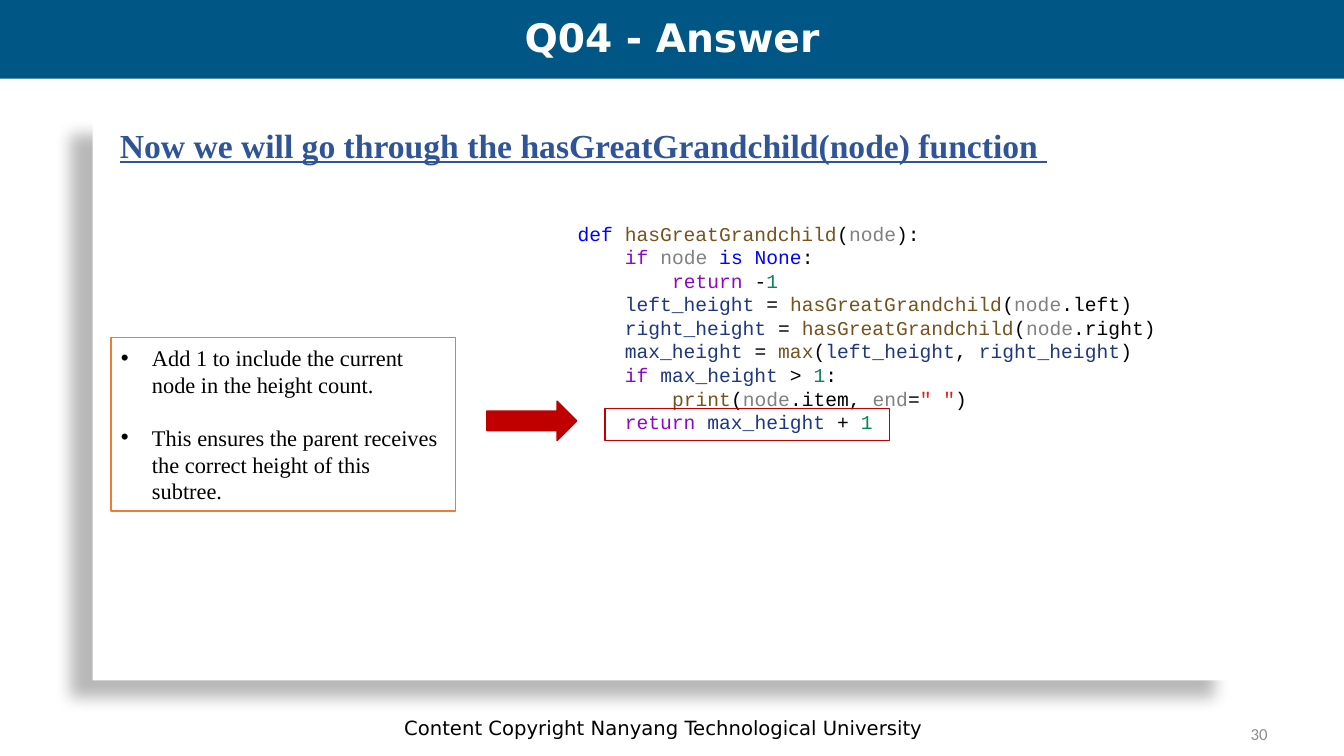
"""Build the Q04 answer slide: an annotated walk through hasGreatGrandchild."""
from lxml import etree
from pptx import Presentation
from pptx.dml.color import RGBColor
from pptx.enum.shapes import MSO_SHAPE
from pptx.enum.text import MSO_ANCHOR, MSO_AUTO_SIZE, PP_ALIGN
from pptx.oxml import parse_xml
from pptx.oxml.ns import nsdecls, qn
from pptx.util import Inches, Pt

RECTANGLE, RIGHT_ARROW = MSO_SHAPE.RECTANGLE, MSO_SHAPE.RIGHT_ARROW
TOP, MIDDLE = MSO_ANCHOR.TOP, MSO_ANCHOR.MIDDLE
LEFT, CENTER, RIGHT = PP_ALIGN.LEFT, PP_ALIGN.CENTER, PP_ALIGN.RIGHT
NO_AUTOFIT = MSO_AUTO_SIZE.NONE

THEME = {
    "colors": {
        "panel": "FFFFFF", "banner": "005684", "accent": "C00000", "note": "ED7D31",
        "title": "FFFFFF", "heading": "2F5597", "text": "000000", "number": "8C8C8C",
        "definition": "0000FF", "function": "74531F", "argument": "808080",
        "control": "8F08C4", "variable": "1F377F", "literal": "098658", "string": "E21F1F",
    },
    "fonts": {
        "title": {"name": "DejaVu Sans", "size": Pt(28), "bold": True},
        "heading": {"name": "Times New Roman", "size": Pt(24), "bold": True, "underline": True},
        "note": {"name": "Times New Roman", "size": Pt(16)},
        "code": {"name": "Courier New", "size": Pt(14)},
        "footer": {"name": "DejaVu Sans", "size": Pt(14)},
        "number": {"name": "Calibri", "size": Pt(12)},
    },
}

TOKEN_COLORS = {
    token: color
    for color, tokens in {
        "definition": ["def", "is None"],
        "function": ["hasGreatGrandchild", "max", "print"],
        "argument": ["node", "end"],
        "control": ["if", "return"],
        "variable": ["left_height", "right_height", "max_height"],
        "literal": ["1"],
        "string": ['" "'],
    }.items()
    for token in tokens
}

CODE_LINES = [
    "def |hasGreatGrandchild|(|node|):",
    "    |if |node |is None|:",
    "        |return| -|1",
    "    |left_height| = |hasGreatGrandchild|(|node|.left)",
    "    |right_height| = |hasGreatGrandchild|(|node|.right)",
    "    |max_height| = |max|(|left_height|, |right_height|)",
    "    |if |max_height| > |1|:",
    "        |print|(|node|.item, |end|=|\" \"|)",
    "    |return |max_height| + |1",
]
NOTES = [
    "Add 1 to include the current node in the height count.",
    "This ensures the parent receives the correct height of this subtree.",
]

deck = Presentation()
deck.slide_width, deck.slide_height = Inches(13.33), Inches(7.5)
page = deck.slides.add_slide(deck.slide_layouts[5])


def place(box, area):
    """Set a box from its left, top, width and height as percentages of the slide."""
    sides = {"left": deck.slide_width, "top": deck.slide_height,
             "width": deck.slide_width, "height": deck.slide_height}
    for (side, extent), share in zip(sides.items(), area):
        setattr(box, side, round(extent * share / 100))
    return box


def write(box, style, lines, align=LEFT, anchor=MIDDLE):
    """Fill a box with paragraphs given as lists of (text, color name) pairs."""
    frame = box.text_frame
    layout = {"word_wrap": True, "auto_size": NO_AUTOFIT, "vertical_anchor": anchor}
    for name, value in layout.items():
        setattr(frame, name, value)
    for index, line in enumerate(lines):
        para = frame.add_paragraph() if index else frame.paragraphs[0]
        para.alignment = align
        for text, color in line:
            span = para.add_run()
            span.text = text
            for name, value in THEME["fonts"][style].items():
                setattr(span.font, name, value)
            span.font.color.rgb = RGBColor.from_string(THEME["colors"][color])
    return frame


SHAPES = {
    "panel": (RECTANGLE, (6.9, 15.6, 85, 74.4), "panel", None),
    "banner": (RECTANGLE, (0, 0, 100, 10.4), "banner", None),
    "note": (RECTANGLE, (8.25, 44.67, 25.66, 22.93), None, "note"),
    "arrow": (RIGHT_ARROW, (36.23, 53.07, 6.68, 5.2), "accent", "accent"),
    "highlight": (RECTANGLE, (45.01, 54, 21.16, 4.27), None, "accent"),
}
boxes = {}
for name, (outline, area, fill, line) in SHAPES.items():
    box = boxes[name] = place(page.shapes.add_shape(outline, 0, 0, 0, 0), area)
    box.shadow.inherit = False
    if fill:
        box.fill.solid()
        box.fill.fore_color.rgb = RGBColor.from_string(THEME["colors"][fill])
    else:
        box.fill.background()
    if line:
        box.line.color.rgb = RGBColor.from_string(THEME["colors"][line])
        box.line.width = Pt(1)
    else:
        box.line.fill.background()

effects = boxes["panel"].element.spPr.find(qn("a:effectLst"))
effects.append(parse_xml(
    f'<a:outerShdw {nsdecls("a")} blurRad="{Pt(11.8)}" dist="{Pt(19.7)}" '
    f'dir="{141 * 60000}" algn="ctr" rotWithShape="0">'
    '<a:srgbClr val="000000"><a:alpha val="28000"/></a:srgbClr></a:outerShdw>'
))

title = place(page.shapes.title, (0, 0.53, 100, 9.47))
boxes["banner"].element.addnext(title.element)
title_frame = write(title, "title", [[("Q04 - Answer", "title")]], CENTER)
title_frame.paragraphs[0].line_spacing = 0.9

code = [[(token, TOKEN_COLORS.get(token.strip(" "), TOKEN_COLORS.get(token, "text")))
         for token in line.split("|")] for line in CODE_LINES]
heading = "Now we will go through the hasGreatGrandchild(node) function "
TEXTS = [
    ((13.43, 93.6, 71.87, 5.33), "footer",
     [[("Content Copyright Nanyang Technological University", "text")]], CENTER, MIDDLE),
    ((71.72, 94.4, 23.33, 5.33), "number", [[("30", "number")]], RIGHT, MIDDLE),
    ((8.18, 15.87, 81.25, 6.67), "heading", [[(heading, "heading")]], LEFT, TOP),
    ((42.24, 28.67, 50.04, 29.6), "code", code, LEFT, TOP),
]
for area, style, lines, align, anchor in TEXTS:
    write(place(page.shapes.add_textbox(0, 0, 0, 0), area), style, lines, align, anchor)
for name in ("arrow", "highlight"):
    page.shapes.element.append(boxes[name].element)

note_frame = write(boxes["note"], "note", [[(text, "text")] for text in NOTES])
for para in note_frame.paragraphs:
    properties = para._p.get_or_add_pPr()
    properties.set("marL", str(Inches(0.31)))
    properties.set("indent", str(-Inches(0.31)))
    etree.SubElement(properties, qn("a:buFont")).set("typeface", "Arial")
    etree.SubElement(properties, qn("a:buChar")).set("char", "•")
note_frame.paragraphs[1].space_before = Pt(18.5)

deck.save("out.pptx")
